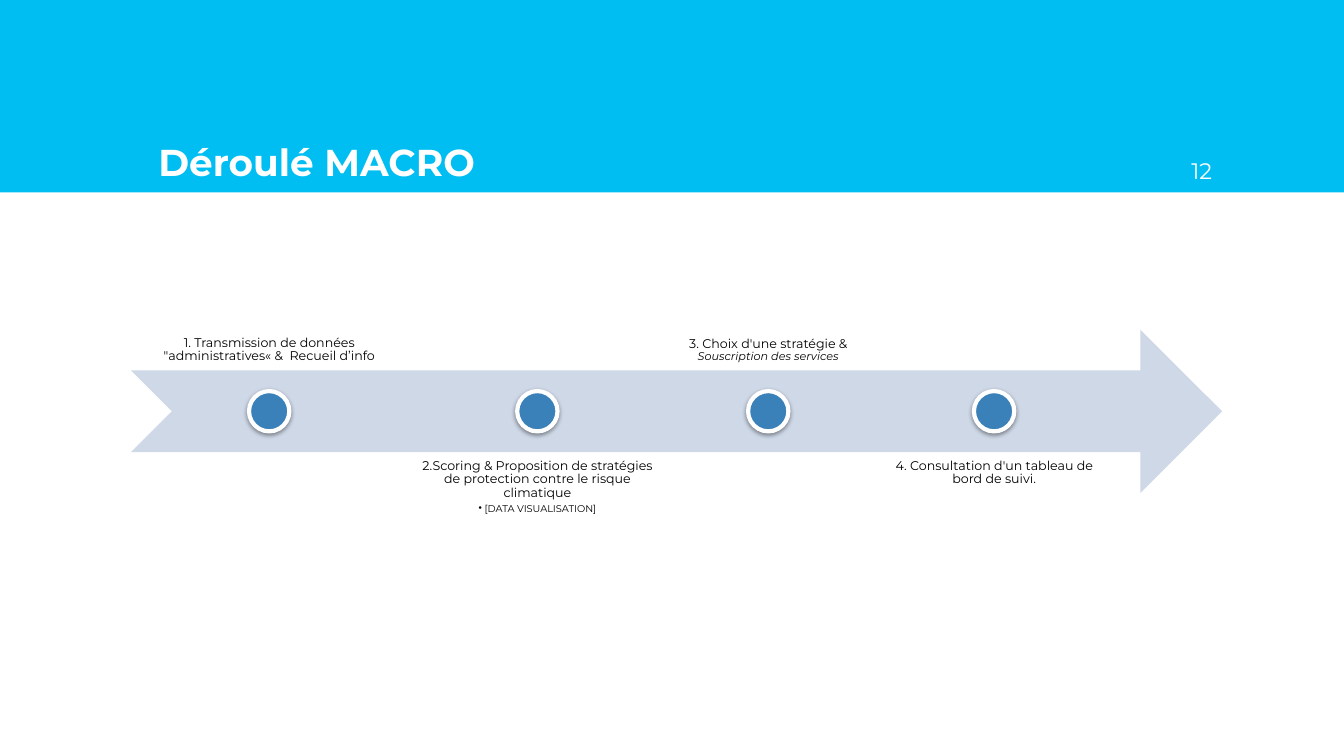
import pptx
import pptx.util
import pptx.dml.color
import pptx.enum.shapes
import pptx.enum.text
import pptx.oxml

Inches = pptx.util.Inches
Pt = pptx.util.Pt
SHAPE = pptx.enum.shapes.MSO_SHAPE
ALIGN = pptx.enum.text.PP_ALIGN
ANCHOR = pptx.enum.text.MSO_ANCHOR
NS = 'xmlns:a="http://schemas.openxmlformats.org/drawingml/2006/main"'

SKY, PALE, BLUE, WHITE, BLACK = "00BEF2", "CED8E7", "3A81BA", "FFFFFF", "000000"
FONT = "Montserrat"
STEP = {"size": Pt(9)}
NOTE = {"size": Pt(8), "italic": True}
SMALL = {"size": Pt(7)}

# Each step: label width, then paragraphs as (runs, is bullet)
STEPS = [
    (2.74, [([("1. Transmission de données \"administratives« &  Recueil d’info", STEP)], False)]),
    (2.48, [([("2.Scoring & Proposition de stratégies de protection contre le risque climatique",
               STEP)], False),
            ([("[DATA VISUALISATION]", SMALL)], True)]),
    (2.0, [([("3. Choix d'une stratégie & ", STEP),
             ("Souscription des services", NOTE)], False)]),
    (2.38, [([("4. Consultation d'un tableau de bord de suivi.", STEP)], False)]),
]


def color(code):
    return pptx.dml.color.RGBColor.from_string(code)


def apply(target, values):
    for name, value in values.items():
        setattr(target, name, value)


def place(shape, box):
    apply(shape, dict(zip(("left", "top", "width", "height"), map(Inches, box))))


def frame(shape, anchor, inset):
    sides = ("margin_left", "margin_top", "margin_right", "margin_bottom")
    apply(shape.text_frame, {
        "word_wrap": True, "vertical_anchor": anchor,
        "auto_size": pptx.enum.text.MSO_AUTO_SIZE.NONE,
        **dict.fromkeys(sides, Inches(inset))})


def write(para, text, code, values):
    run = para.add_run()
    run.text = text
    apply(run.font, {"name": FONT, **values})
    run.font.color.rgb = color(code)


def draw(shapes, kind, box, code):
    shape = shapes.add_shape(kind, *map(Inches, box))
    shape.shadow.inherit = False
    shape.fill.solid()
    shape.fill.fore_color.rgb = color(code)
    shape.line.fill.background()
    return shape


def header(slide, box):
    left, top, width, height = box
    banner = draw(slide.shapes, SHAPE.RECTANGLE, box, SKY)
    slide.shapes._spTree.insert(2, banner._element)  # behind the title

    title = slide.shapes.title
    number = slide.shapes.add_textbox(0, 0, 0, 0)
    row = top + height - 0.96
    parts = [
        (title, 1.47, 10.4, "Déroulé MACRO", ALIGN.LEFT, {"size": Pt(26.7), "bold": True}),
        (number, 11.32, 0.8, "12", ALIGN.RIGHT, {"size": Pt(16)}),
    ]
    for shape, offset, wide, text, align, style in parts:
        place(shape, (left + offset, row, wide, 0.98))
        frame(shape, ANCHOR.BOTTOM, 0.1)
        para = shape.text_frame.paragraphs[0]
        para.alignment = align
        write(para, text, WHITE, style)


def bullet(para):
    props = para._p.get_or_add_pPr()
    props.set("marL", str(Inches(0.06)))
    props.set("indent", str(Inches(-0.06)))
    props.append(pptx.oxml.parse_xml(f'<a:buChar {NS} char="•"/>'))


def label(shapes, box, anchor, paras):
    shape = shapes.add_textbox(*map(Inches, box))
    frame(shape, anchor, 0.07)
    text = shape.text_frame
    for index, (runs, dotted) in enumerate(paras):
        para = text.add_paragraph() if index else text.paragraphs[0]
        apply(para, {"alignment": ALIGN.CENTER, "line_spacing": 0.9,
                     "space_after": Pt(1 if dotted else 3)})
        if dotted:
            para.level = 1
            bullet(para)
        for words, style in runs:
            write(para, words, BLACK, style)


def marker(shapes, box):
    """Draw a white-rimmed dot with a soft shadow below it."""
    dot = draw(shapes, SHAPE.OVAL, box, BLUE)
    dot.line.color.rgb = color(WHITE)
    dot.line.width = Pt(3)
    shade = pptx.oxml.parse_xml(
        f'<a:outerShdw {NS} blurRad="{Pt(3.1)}" dist="{Pt(1.6)}" dir="5400000" '
        f'rotWithShape="0"><a:srgbClr val="{BLACK}"><a:alpha val="38000"/>'
        '</a:srgbClr></a:outerShdw>')
    dot._element.spPr.find(pptx.oxml.ns.qn("a:effectLst")).append(shade)


def process(slide, box):
    """Draw the arrow with its steps, labelled above and below in turn."""
    left, top, width, height = box
    shapes = slide.shapes.add_group_shape().shapes
    draw(shapes, SHAPE.NOTCHED_RIGHT_ARROW, box, PALE)
    size, gap, shift = 0.4, 0.05, height * 0.75
    for index, (wide, paras) in enumerate(STEPS):
        below = index % 2
        row = top + shift if below else top - shift
        anchor = ANCHOR.TOP if below else ANCHOR.BOTTOM
        label(shapes, (left, row, wide, height), anchor, paras)
        marker(shapes, (left + (wide - size) / 2, top + (height - size) / 2, size, size))
        left += wide + gap


def main():
    deck = pptx.Presentation()
    apply(deck, {"slide_width": Inches(13.33), "slide_height": Inches(7.5)})
    slide = deck.slides.add_slide(deck.slide_layouts[5])
    header(slide, (0, 0, 13.33, 1.91))
    process(slide, (1.3, 3.27, 10.82, 1.62))
    deck.save("out.pptx")


if __name__ == "__main__":
    main()
